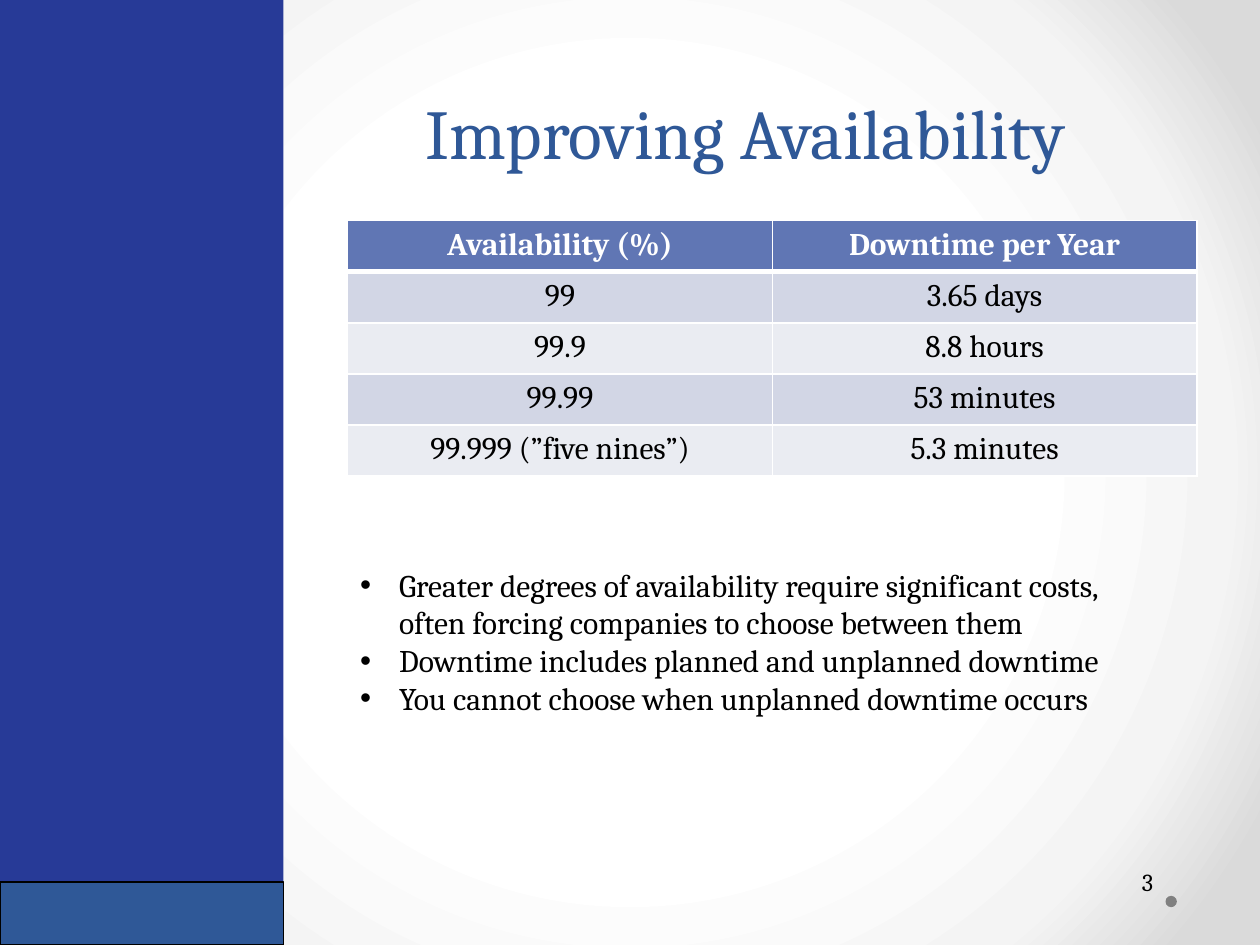
import dataclasses

import lxml.etree
import pptx
import pptx.dml.color
import pptx.enum.shapes
import pptx.enum.text
import pptx.oxml.ns
import pptx.util

Inches = pptx.util.Inches
Pt = pptx.util.Pt
Align = pptx.enum.text.PP_ALIGN
Anchor = pptx.enum.text.MSO_ANCHOR
Shapes = pptx.enum.shapes.MSO_SHAPE
qn = pptx.oxml.ns.qn


@dataclasses.dataclass(frozen=True)
class Theme:
    font: str = "Cambria"
    title_size: int = 40
    body_size: int = 18
    number_size: int = 14
    black: str = "000000"
    white: str = "FFFFFF"
    accent: str = "2F5897"
    sidebar: str = "273A97"
    dot: str = "808080"
    header: str = "6076B4"
    bands: tuple = ("D2D6E5", "EAECF2")
    glow: tuple = ((50, "FFFFFF"), (76, "F4F4F4"), (92, "DADADA"))


def rgb(value):
    return pptx.dml.color.RGBColor.from_string(value)


def add_element(parent, tag, **attributes):
    values = {name: str(value) for name, value in attributes.items()}
    return lxml.etree.SubElement(parent, qn(tag), values)


class SlideBuilder:
    """Draw styled elements on the current slide."""

    def __init__(self, slide, theme):
        self.slide = slide
        self.theme = theme

    def background(self):
        fill = self.slide.background.fill
        fill.gradient()
        gradient = self.slide.element.find(".//" + qn("a:gradFill"))
        for child in list(gradient):
            gradient.remove(child)
        stops = add_element(gradient, "a:gsLst")
        for percent, color in self.theme.glow:
            stop = add_element(stops, "a:gs", pos=percent * 1000)
            add_element(stop, "a:srgbClr", val=color)
        circle = add_element(gradient, "a:path", path="circle")
        add_element(circle, "a:fillToRect", l=50000, t=50000, r=50000, b=50000)

    def add_text(self, paragraph, text, size, color, align=Align.LEFT, bold=False):
        paragraph.alignment = align
        run = paragraph.add_run()
        run.text = text
        formats = {"name": self.theme.font, "size": Pt(size), "bold": bold}
        for name, value in formats.items():
            setattr(run.font, name, value)
        run.font.color.rgb = rgb(color)

    def panel(self, kind, box, color, line=None):
        shape = self.slide.shapes.add_shape(kind, *map(Inches, box))
        shape.shadow.inherit = False
        shape.fill.solid()
        shape.fill.fore_color.rgb = rgb(color)
        if line:
            shape.line.color.rgb = rgb(line)
            shape.line.width = Pt(0.75)
        else:
            shape.line.fill.background()

    def title(self, text, box):
        shape = self.slide.shapes.title
        for name, value in zip(("left", "top", "width", "height"), box):
            setattr(shape, name, Inches(value))
        shape.text_frame.vertical_anchor = Anchor.BOTTOM
        paragraph = shape.text_frame.paragraphs[0]
        paragraph.line_spacing = Pt(58)
        self.add_text(paragraph, text, self.theme.title_size, self.theme.accent, Align.CENTER)

    def text_frame(self, box):
        frame = self.slide.shapes.add_textbox(*map(Inches, box)).text_frame
        frame.word_wrap = True
        return frame

    def page_number(self, text, box):
        paragraph = self.text_frame(box).paragraphs[0]
        self.add_text(paragraph, text, self.theme.number_size, self.theme.black, Align.RIGHT)

    def bullets(self, items, box):
        frame = self.text_frame(box)
        frame.auto_size = pptx.enum.text.MSO_AUTO_SIZE.SHAPE_TO_FIT_TEXT
        indent = Inches(0.31)
        for index, item in enumerate(items):
            paragraph = frame.add_paragraph() if index else frame.paragraphs[0]
            properties = paragraph._p.get_or_add_pPr()
            properties.set("marL", str(indent))
            properties.set("indent", str(-indent))
            add_element(properties, "a:buFont", typeface="Arial")
            add_element(properties, "a:buChar", char="•")
            self.add_text(paragraph, item, self.theme.body_size, self.theme.black)

    def borders(self, cell, bottom):
        properties = cell._tc.get_or_add_tcPr()
        widths = {"a:lnL": 1, "a:lnR": 1, "a:lnT": 1, "a:lnB": bottom}
        for index, (tag, width) in enumerate(widths.items()):
            line = add_element(properties, tag, w=Pt(width))
            add_element(add_element(line, "a:solidFill"), "a:srgbClr", val=self.theme.white)
            properties.insert(index, line)

    def table(self, rows, box):
        theme = self.theme
        shape = self.slide.shapes.add_table(len(rows), len(rows[0]), *map(Inches, box))
        for row_index, row in enumerate(rows):
            header = row_index == 0
            fill = theme.header if header else theme.bands[(row_index - 1) % 2]
            color = theme.white if header else theme.black
            for column_index, text in enumerate(row):
                cell = shape.table.cell(row_index, column_index)
                cell.fill.solid()
                cell.fill.fore_color.rgb = rgb(fill)
                self.borders(cell, 3 if header else 1)
                paragraph = cell.text_frame.paragraphs[0]
                self.add_text(paragraph, text, theme.body_size, color, Align.CENTER, header)


def main():
    theme = Theme()
    presentation = pptx.Presentation()
    presentation.slide_width = Inches(10)
    presentation.slide_height = Inches(7.5)
    slide = presentation.slides.add_slide(presentation.slide_layouts[5])
    builder = SlideBuilder(slide, theme)
    builder.background()
    builder.panel(Shapes.OVAL, (9.25, 7.11, 0.09, 0.09), theme.dot)
    builder.panel(Shapes.RECTANGLE, (0, 0, 2.25, 7.5), theme.sidebar)
    builder.panel(Shapes.RECTANGLE, (0, 7, 2.25, 0.5), theme.accent, theme.black)
    builder.title("Improving Availability", (2.33, 0.18, 7.17, 1.25))
    builder.page_number("3", (8.42, 6.83, 0.83, 0.5))
    builder.table(
        [
            ("Availability (%)", "Downtime per Year"),
            ("99", "3.65 days"),
            ("99.9", "8.8 hours"),
            ("99.99", "53 minutes"),
            ("99.999 (”five nines”)", "5.3 minutes"),
        ],
        (2.76, 1.75, 6.74, 2.03),
    )
    builder.bullets(
        [
            "Greater degrees of availability require significant costs, "
            "often forcing companies to choose between them",
            "Downtime includes planned and unplanned downtime",
            "You cannot choose when unplanned downtime occurs",
        ],
        (2.76, 4.44, 6.63, 1.31),
    )
    presentation.save("out.pptx")


if __name__ == "__main__":
    main()
